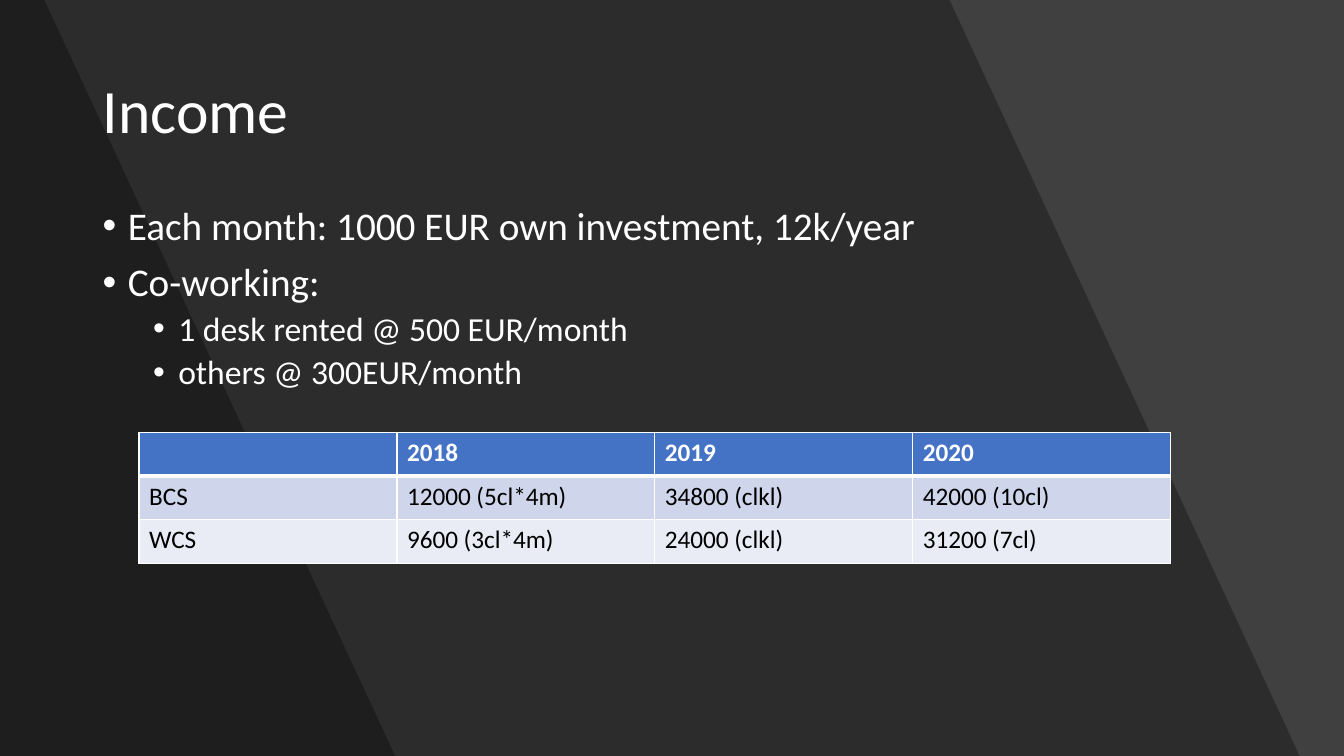
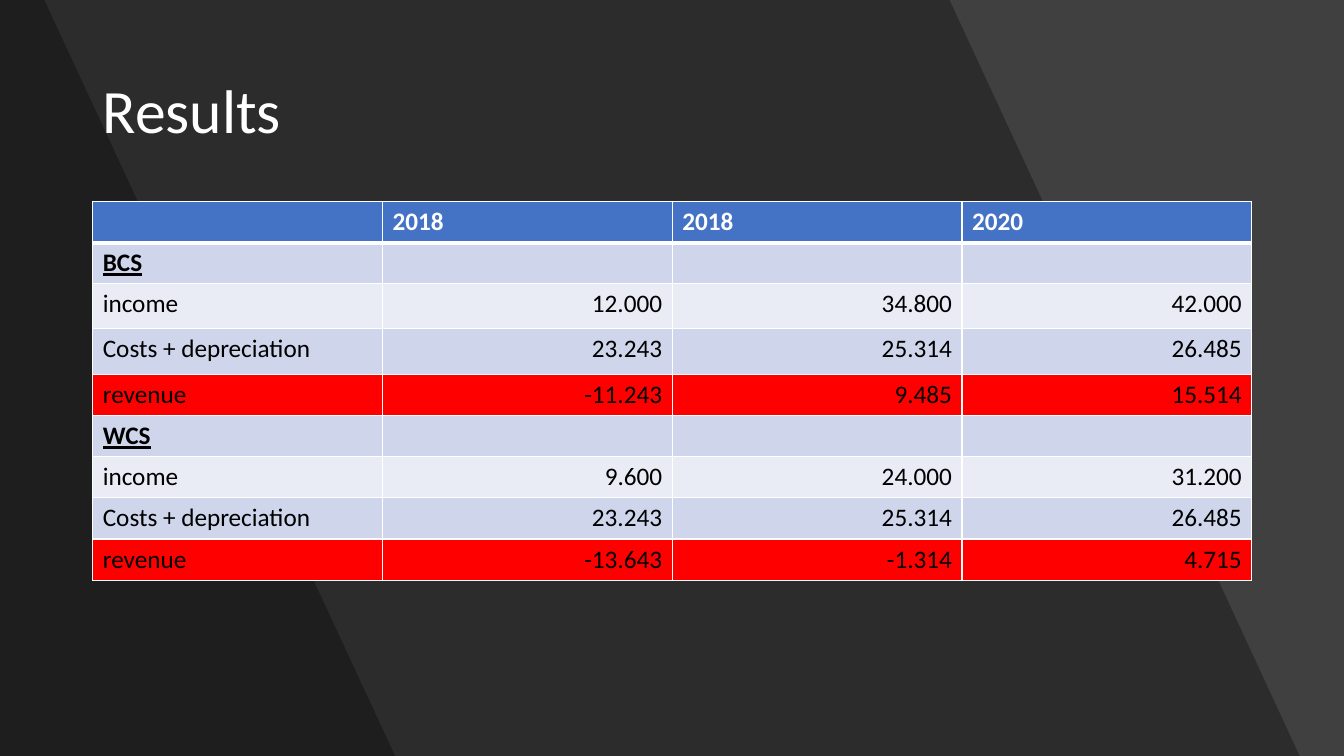
from lxml import etree
from pptx import Presentation
from pptx.dml.color import RGBColor
from pptx.enum.text import MSO_ANCHOR, PP_ALIGN
from pptx.oxml.ns import qn
from pptx.util import Inches, Pt

MIDDLE = MSO_ANCHOR.MIDDLE
LEFT, RIGHT = PP_ALIGN.LEFT, PP_ALIGN.RIGHT

WHITE = RGBColor(0xFF, 0xFF, 0xFF)
BLACK = RGBColor(0x00, 0x00, 0x00)
GRAY = RGBColor(0x40, 0x40, 0x40)
BLUE = RGBColor(0x44, 0x72, 0xC4)
RED = RGBColor(0xFF, 0x00, 0x00)
PALE = RGBColor(0xE9, 0xEB, 0xF5)
LAVENDER = RGBColor(0xCF, 0xD5, 0xEA)

MARGIN, CONTENT_WIDTH, CONTENT_TOP = 6.9, 86.25, 26.67
ROW = 5.44


class Deck:
    """Dark slanted-band slides laid out on a grid of 100 columns by 100 rows."""

    FONT = "Calibri"
    SLANTS = ((70.65, 96.7), (3.3, 29.4))
    BULLETS = ((28, 10, 0.25), (24, 5, 0.75))

    def __init__(self):
        self.prs = Presentation()
        self.prs.slide_width, self.prs.slide_height = Inches(13.33), Inches(7.5)
        self.s = None

    def x(self, cols):
        return round(self.prs.slide_width * cols / 100)

    def y(self, rows):
        return round(self.prs.slide_height * rows / 100)

    def box(self, left, top, width, height):
        return self.x(left), self.y(top), self.x(width), self.y(height)

    def slide(self, title):
        self.s = self.prs.slides.add_slide(self.prs.slide_layouts[6])
        fill = self.s.background.fill
        fill.solid()
        fill.fore_color.rgb = GRAY
        for top, bottom in self.SLANTS:
            self.band(top, bottom)
        tf = self.text_frame(MARGIN, 5.33, CONTENT_WIDTH, 19.33)
        tf.vertical_anchor = MIDDLE
        p = tf.paragraphs[0]
        p.line_spacing = 0.9
        self.run(p, title, 44)

    def band(self, top, bottom):
        fb = self.s.shapes.build_freeform(0, 0)
        corners = ((top, 0), (bottom, 100), (0, 100))
        fb.add_line_segments([(self.x(c), self.y(r)) for c, r in corners])
        sp = fb.convert_to_shape()
        sp.shadow.inherit = False
        sp.line.fill.background()
        sp.fill.solid()
        sp.fill.fore_color.rgb = BLACK
        color = sp.fill._xPr.find(qn("a:solidFill"))[0]
        etree.SubElement(color, qn("a:alpha"), val="30000")

    def text_frame(self, *place):
        tf = self.s.shapes.add_textbox(*self.box(*place)).text_frame
        tf.word_wrap = True
        return tf

    def run(self, p, text, size, color=WHITE, bold=False, underline=False):
        r = p.add_run()
        r.text = text
        r.font.name, r.font.size = self.FONT, Pt(size)
        r.font.color.rgb = color
        r.font.bold, r.font.underline = bold, underline

    def bullets(self, items):
        tf = self.text_frame(MARGIN, CONTENT_TOP, CONTENT_WIDTH, 63.47)
        for i, (level, text) in enumerate(items):
            p = tf.add_paragraph() if i else tf.paragraphs[0]
            size, before, indent = self.BULLETS[level]
            p.level, p.line_spacing, p.space_before = level, 0.9, Pt(before)
            pPr = p._p.get_or_add_pPr()
            pPr.set("marL", str(Inches(indent)))
            pPr.set("indent", str(Inches(-0.25)))
            etree.SubElement(pPr, qn("a:buFont"), typeface="Arial")
            etree.SubElement(pPr, qn("a:buChar"), char="•")
            self.run(p, text, size)

    def table(self, left, top, width, heights, rows, value_align=LEFT):
        n_cols = len(rows[0])
        place = self.box(left, top, width, sum(heights))
        table = self.s.shapes.add_table(len(rows), n_cols, *place).table
        table.first_row = table.horz_banding = False
        for column in table.columns:
            column.width = self.x(width / n_cols)
        for i, (height, values) in enumerate(zip(heights, rows)):
            table.rows[i].height = self.y(height)
            header, section = i == 0, not any(values[1:])
            if header:
                fill = BLUE
            elif values[0] == "revenue":
                fill = RED
            else:
                fill = LAVENDER if i % 2 else PALE
            for j, value in enumerate(values):
                cell = table.cell(i, j)
                self.borders(cell, top=3 if i == 1 else 1, bottom=3 if header else 1)
                cell.fill.solid()
                cell.fill.fore_color.rgb = fill
                if value:
                    p = cell.text_frame.paragraphs[0]
                    p.alignment = value_align if i and j else LEFT
                    self.run(p, value, 18, WHITE if header else BLACK,
                             header or section, section)

    def borders(self, cell, top, bottom):
        tcPr = cell._tc.get_or_add_tcPr()
        for side, width in (("L", 1), ("R", 1), ("T", top), ("B", bottom)):
            ln = etree.SubElement(tcPr, qn(f"a:ln{side}"), w=str(Pt(width)))
            fill = etree.SubElement(ln, qn("a:solidFill"))
            etree.SubElement(fill, qn("a:srgbClr"), val=str(WHITE))


def main():
    deck = Deck()

    deck.slide("Income")
    deck.bullets([
        (0, "Each month: 1000 EUR own investment, 12k/year"),
        (0, "Co-working:"),
        (1, "1 desk rented @ 500 EUR/month"),
        (1, "others @ 300EUR/month"),
    ])
    deck.table(10.35, 57.2, 76.75, [5.78] * 3, [
        ("", "2018", "2019", "2020"),
        ("BCS", "12000 (5cl*4m)", "34800 (clkl)", "42000 (10cl)"),
        ("WCS", "9600 (3cl*4m)", "24000 (clkl)", "31200 (7cl)"),
    ])

    deck.slide("Results")
    costs = ("Costs + depreciation", "23.243", "25.314", "26.485")
    heights = [ROW] * 2 + [5.87, 6.13] + [ROW] * 5
    deck.table(MARGIN, CONTENT_TOP, CONTENT_WIDTH, heights, [
        ("", "2018", "2018", "2020"),
        ("BCS", "", "", ""),
        ("income", "12.000", "34.800", "42.000"),
        costs,
        ("revenue", "-11.243", "9.485", "15.514"),
        ("WCS", "", "", ""),
        ("income", "9.600", "24.000", "31.200"),
        costs,
        ("revenue", "-13.643", "-1.314", "4.715"),
    ], RIGHT)

    deck.prs.save("out.pptx")


if __name__ == "__main__":
    main()
